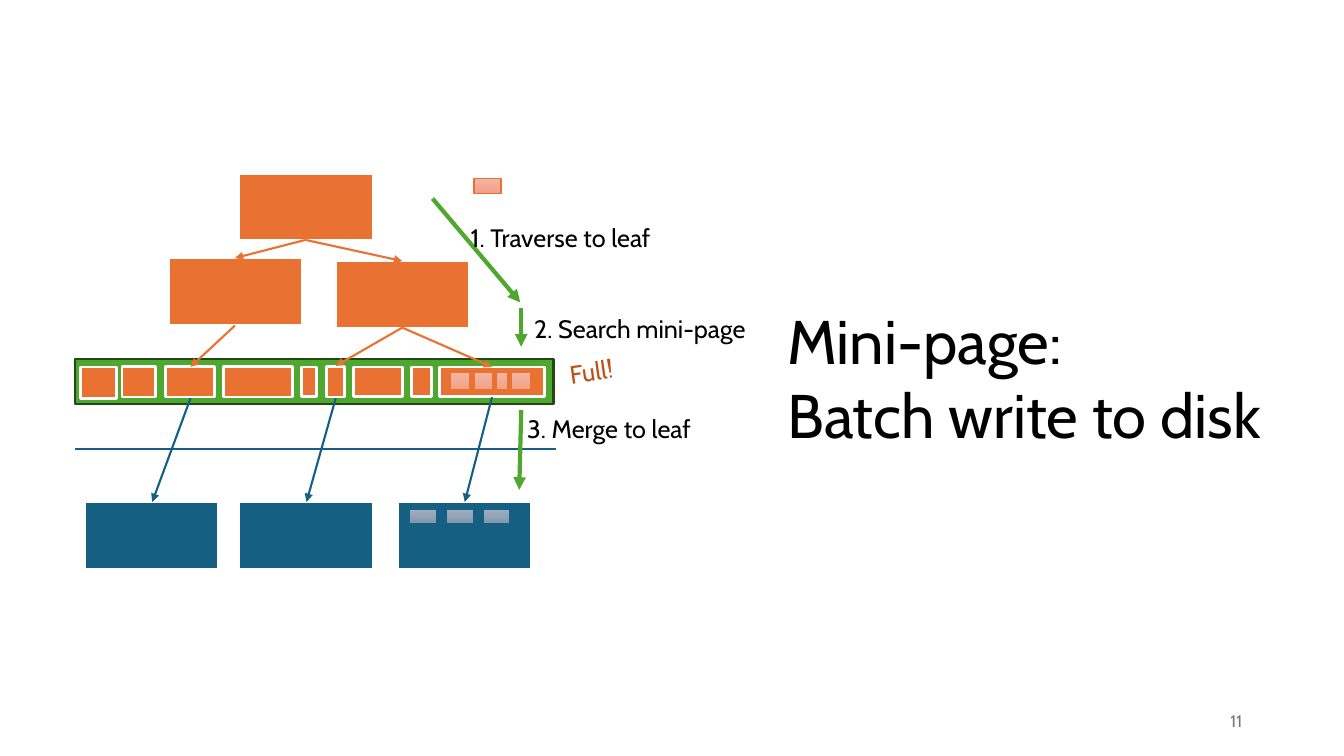
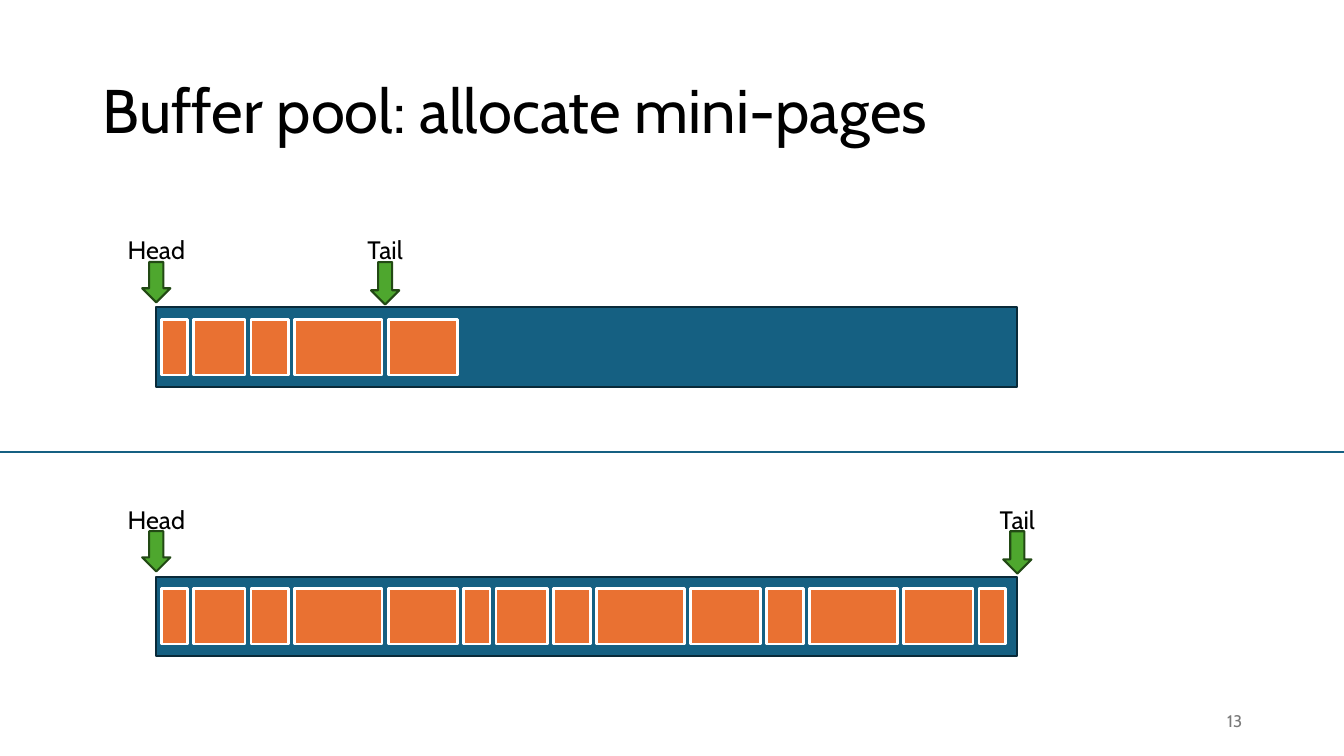
from copy import deepcopy

from lxml.etree import SubElement
from pptx import Presentation
from pptx.dml.color import RGBColor
from pptx.enum.shapes import MSO_CONNECTOR, MSO_SHAPE
from pptx.enum.text import MSO_ANCHOR, PP_ALIGN
from pptx.oxml.ns import qn
from pptx.util import Inches, Pt

FONT = "Cabin"
TITLE_SIZE = 44
BLACK, WHITE, GRAY = "000000", "FFFFFF", "797979"
ORANGE, RUST = "E97132", "C04F15"
BLUE, NAVY = "156082", "092A39"
GREEN, DARK_GREEN = "4EA72E", "224914"
ORANGE_RECORD = ("F5B8A5", "F2AB96", "F59E82")
BLUE_RECORD = ("9EAFBF", "91A3B4", "7C95AB")
color = RGBColor.from_string


def add_box(slide, left, top, width, height, fill=ORANGE, line=WHITE,
            line_width=2, kind=MSO_SHAPE.RECTANGLE):
    """Add a shape; a tuple of three colours as fill makes a vertical gradient."""
    shape = slide.shapes.add_shape(
        kind, Inches(left), Inches(top), Inches(width), Inches(height))
    shape.shadow.inherit = False
    if isinstance(fill, tuple):
        shape.fill.gradient()
        shape.fill.gradient_angle = 270
        stop_list = shape._element.spPr.find(qn("a:gradFill")).find(qn("a:gsLst"))
        stop_list.append(deepcopy(stop_list[-1]))
        for stop, position, stop_color in zip(shape.fill.gradient_stops, (0, 0.5, 1), fill):
            stop.position = position
            stop.color.rgb = color(stop_color)
    else:
        shape.fill.solid()
        shape.fill.fore_color.rgb = color(fill)
    shape.line.color.rgb = color(line)
    shape.line.width = Pt(line_width)


def add_text(slide, text, left, top, width, height=0.4, size=18, text_color=BLACK,
             align=PP_ALIGN.LEFT, anchor=MSO_ANCHOR.TOP, wrap=True,
             line_spacing=None, rotation=0):
    box = slide.shapes.add_textbox(
        Inches(left), Inches(top), Inches(width), Inches(height))
    box.rotation = rotation
    frame = box.text_frame
    frame.word_wrap = wrap
    frame.vertical_anchor = anchor
    frame.text = text
    for paragraph in frame.paragraphs:
        paragraph.alignment = align
        paragraph.line_spacing = line_spacing
        font = paragraph.runs[0].font
        font.name = FONT
        font.size = Pt(size)
        font.color.rgb = color(text_color)


presentation = Presentation()
presentation.slide_width = Inches(13.33)
presentation.slide_height = Inches(7.5)
blank = presentation.slide_layouts[6]
tree_slide = presentation.slides.add_slide(blank)
pool_slide = presentation.slides.add_slide(blank)

# Tree nodes, the mini-page band and the records
add_box(tree_slide, 0.74, 3.56, 4.75, 0.45, GREEN, DARK_GREEN, 1.5)
for left, top in ((2.37, 1.72), (1.67, 2.56), (3.33, 2.59)):
    add_box(tree_slide, left, top, 1.33, 0.67)
for left in (0.84, 2.37, 3.94):
    add_box(tree_slide, left, 4.98, 1.33, 0.67, BLUE)
for left, width, height in (
        (0.8, 0.36, 0.31), (1.21, 0.33, 0.3), (1.64, 0.49, 0.3),
        (2.22, 0.68, 0.3), (2.99, 0.15, 0.29), (3.24, 0.18, 0.3),
        (3.51, 0.48, 0.29), (4.08, 0.2, 0.29), (4.36, 1.04, 0.29)):
    add_box(tree_slide, left, 3.64, width, height)
for left, width in ((4.47, 0.19), (4.7, 0.19), (4.92, 0.12), (5.07, 0.19)):
    add_box(tree_slide, left, 3.69, width, 0.18, ORANGE_RECORD, ORANGE, 1)
add_box(tree_slide, 4.7, 1.77, 0.27, 0.15, ORANGE_RECORD, ORANGE, 1)
for left in (4.06, 4.43, 4.79):
    add_box(tree_slide, left, 5.05, 0.27, 0.15, BLUE_RECORD, BLUE, 1)

# Tree links, traversal steps and dividers
for slide, start, end, line_color, line_width, has_arrow in (
        (tree_slide, (3.03, 2.38), (2.33, 2.56), ORANGE, 1.5, True),
        (tree_slide, (3.03, 2.38), (3.99, 2.59), ORANGE, 1.5, True),
        (tree_slide, (2.33, 3.23), (1.89, 3.64), ORANGE, 1.5, True),
        (tree_slide, (3.99, 3.25), (3.33, 3.63), ORANGE, 1.5, True),
        (tree_slide, (3.99, 3.25), (4.88, 3.64), ORANGE, 1.5, True),
        (tree_slide, (1.89, 3.95), (1.51, 4.98), BLUE, 1.5, True),
        (tree_slide, (3.33, 3.95), (3.04, 4.98), BLUE, 1.5, True),
        (tree_slide, (4.88, 3.94), (4.61, 4.98), BLUE, 1.5, True),
        (tree_slide, (0.74, 4.45), (5.51, 4.45), BLUE, 1.5, False),
        (tree_slide, (4.29, 1.97), (5.16, 3), GREEN, 3, True),
        (tree_slide, (5.17, 3.06), (5.17, 3.44), GREEN, 3, True),
        (tree_slide, (5.17, 4.07), (5.15, 4.86), GREEN, 3, True),
        (pool_slide, (0, 4.48), (13.33, 4.48), BLUE, 1.5, False)):
    connector = slide.shapes.add_connector(
        MSO_CONNECTOR.STRAIGHT, *(Inches(length) for length in start + end))
    connector.line.color.rgb = color(line_color)
    connector.line.width = Pt(line_width)
    if has_arrow:
        SubElement(connector.line._get_or_add_ln(), qn("a:tailEnd"), type="triangle")
    SubElement(connector._element.spPr, qn("a:effectLst"))

# Step labels and title of the tree slide
for text, left, top, width in (
        ("1. Traverse to leaf", 4.57, 2.16, 2.09),
        ("2. Search mini-page", 5.2, 3.06, 2.36),
        ("3. Merge to leaf", 5.13, 4.05, 1.86)):
    add_text(tree_slide, text, left, top, width, wrap=False)
add_text(tree_slide, "Full!", 5.55, 3.48, 0.68, text_color=RUST, wrap=False, rotation=352)
add_text(tree_slide, "Mini-page:\nBatch write to disk", 7.71, 2.96, 5.16, 1.58,
         size=TITLE_SIZE)

# Buffer pool, partly and completely filled
add_text(pool_slide, "Buffer pool: allocate mini-pages", 0.92, 0.4, 11.5, 1.45,
         size=TITLE_SIZE, anchor=MSO_ANCHOR.MIDDLE, line_spacing=0.9)
POOL_LEFT, POOL_WIDTH, PAGE_GAP = 1.55, 8.54, 0.06
first_pages = [0.26, 0.51, 0.37, 0.87, 0.69]
all_pages = first_pages * 2 + first_pages[2:] + first_pages[:1]
for pool_top, page_widths, tail_center in (
        (3.05, first_pages, 3.82),
        (5.72, all_pages, POOL_LEFT + POOL_WIDTH)):
    add_box(pool_slide, POOL_LEFT, pool_top, POOL_WIDTH, 0.79, BLUE, NAVY, 1.5)
    page_left = POOL_LEFT + 0.05
    for page_width in page_widths:
        add_box(pool_slide, page_left, pool_top + 0.12, page_width, 0.55)
        page_left += page_width + PAGE_GAP
    for label, center, arrow_height in (("Head", POOL_LEFT, 0.4), ("Tail", tail_center, 0.42)):
        add_box(pool_slide, center - 0.14, pool_top - 0.45, 0.28, arrow_height,
                GREEN, DARK_GREEN, 1.5, MSO_SHAPE.DOWN_ARROW)
        add_text(pool_slide, label, center - 0.46, pool_top - 0.77, 0.92,
                 align=PP_ALIGN.CENTER)

for slide, number in ((tree_slide, "11"), (pool_slide, "13")):
    add_text(slide, number, 9.42, 6.95, 3, size=12, text_color=GRAY,
             align=PP_ALIGN.RIGHT, anchor=MSO_ANCHOR.MIDDLE)

presentation.save("out.pptx")
